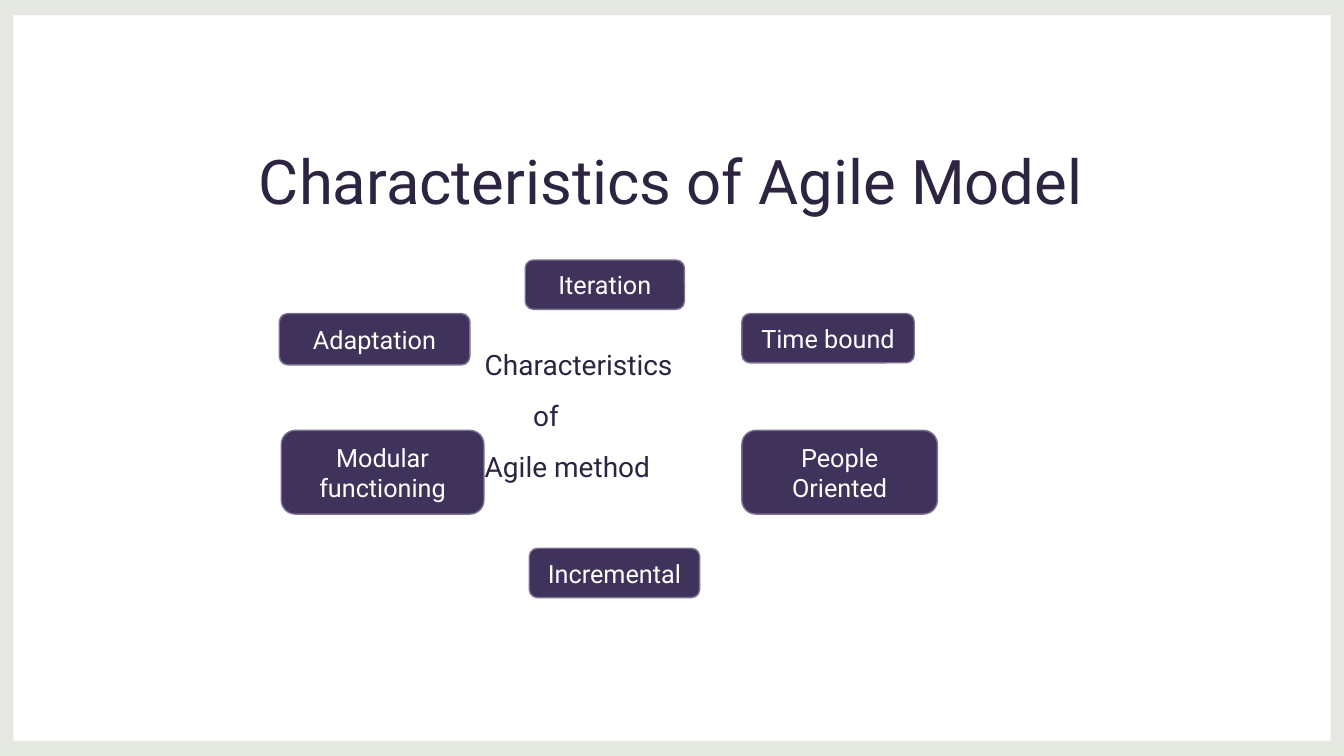
from pptx import Presentation
from pptx import util as u
from pptx.dml import color
from pptx.enum import shapes, text

presentation = Presentation()
presentation.slide_width = u.Inches(13.33)
presentation.slide_height = u.Inches(7.5)
slide = presentation.slides.add_slide(presentation.slide_layouts[6])
column = presentation.slide_width / 100
row = presentation.slide_height / 100


def paint(target, hex_string):
    if hasattr(target, "solid"):
        target.solid()
        target = target.fore_color
    else:
        target = target.color
    target.rgb = color.RGBColor.from_string(hex_string)


def write(shape, lines, size, hex_string, anchor, paragraph_format):
    frame = shape.text_frame
    frame.word_wrap = True
    frame.vertical_anchor = anchor
    frame.text = "\n".join(lines)
    for paragraph in frame.paragraphs:
        for name, value in paragraph_format.items():
            setattr(paragraph, name, value)
        for name, value in {"name": "Roboto", "size": u.Pt(size)}.items():
            setattr(paragraph.runs[0].font, name, value)
        paint(paragraph.runs[0].font, hex_string)


border_x, border_y = 1.35, 2.27
builder = slide.shapes.build_freeform(0, 0, scale=(column, row))
builder.add_line_segments([(100, 0), (100, 100), (0, 100)])
builder.move_to(border_x, border_y)
builder.add_line_segments([
    (border_x, 100 - border_y),
    (100 - border_x, 100 - border_y),
    (100 - border_x, border_y),
])
border = builder.convert_to_shape()
border.shadow.inherit = False
paint(border.fill, "E6E8E2")
border.line.fill.background()

text_blocks = [
    (8.4, 10.53, 83.1, 18.8, ["Characteristics of Agile Model"], 44,
     text.MSO_ANCHOR.BOTTOM,
     {"alignment": text.PP_ALIGN.CENTER, "line_spacing": 1.1}),
    (35.33, 44.93, 18.75, 20.67, ["Characteristics", "of", "Agile method"], 20,
     text.MSO_ANCHOR.TOP,
     {"alignment": text.PP_ALIGN.LEFT, "line_spacing": 1.1, "space_before": u.Pt(10)}),
]
for left, top, width, height, lines, size, anchor, paragraph_format in text_blocks:
    block = slide.shapes.add_textbox(
        int(left * column), int(top * row), int(width * column), int(height * row))
    write(block, lines, size, "2D2441", anchor, paragraph_format)
middle_line = block.text_frame.paragraphs[1]
middle_line._p.get_or_add_pPr().set("marL", str(int(3.6 * column)))

characteristics = [
    ("Iteration", 39.08, 34.4, 11.85, 6.53),
    ("Time bound", 55.2, 41.47, 12.83, 6.53),
    ("Modular functioning", 20.93, 56.93, 15.08, 11.07),
    ("Adaptation", 20.78, 41.47, 14.18, 6.8),
    ("Incremental", 39.38, 72.53, 12.68, 6.53),
    ("People Oriented", 55.2, 56.93, 14.55, 11.07),
]
for label, left, top, width, height in characteristics:
    box = slide.shapes.add_shape(
        shapes.MSO_SHAPE.ROUNDED_RECTANGLE,
        int(left * column), int(top * row), int(width * column), int(height * row))
    box.shadow.inherit = False
    paint(box.fill, "3F335B")
    paint(box.line, "7B6F92")
    box.line.width = u.Pt(1)
    write(box, [label], 18, "FFFFFF", text.MSO_ANCHOR.MIDDLE,
          {"alignment": text.PP_ALIGN.CENTER})

presentation.save("out.pptx")
